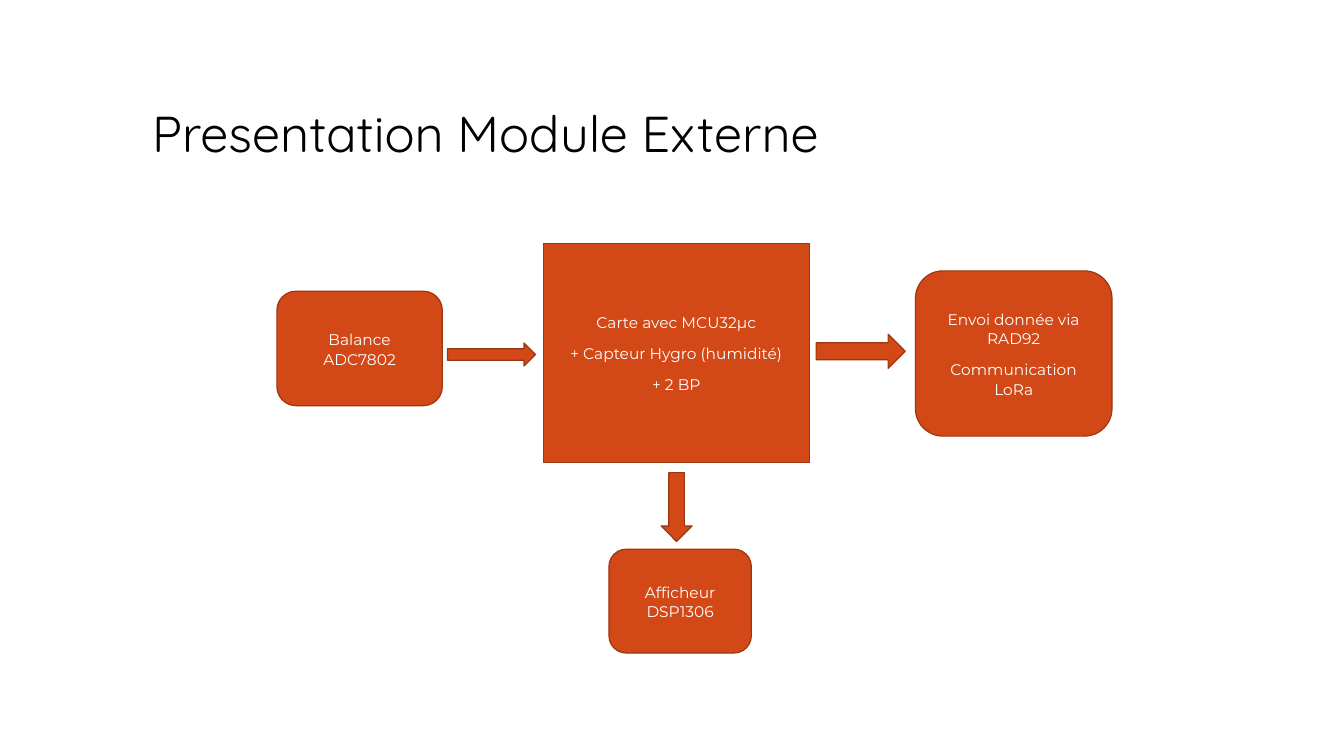
from dataclasses import dataclass

from pptx import Presentation
from pptx.dml.color import RGBColor
from pptx.enum.shapes import MSO_SHAPE
from pptx.enum.text import MSO_ANCHOR, PP_ALIGN
from pptx.util import Pt

RECTANGLE = MSO_SHAPE.RECTANGLE
ROUNDED = MSO_SHAPE.ROUNDED_RECTANGLE
RIGHT_ARROW = MSO_SHAPE.RIGHT_ARROW
DOWN_ARROW = MSO_SHAPE.DOWN_ARROW
CENTER, LEFT = PP_ALIGN.CENTER, PP_ALIGN.LEFT
MIDDLE, BOTTOM = MSO_ANCHOR.MIDDLE, MSO_ANCHOR.BOTTOM
TITLE_ONLY = 5


@dataclass(frozen=True)
class Theme:
    ink: RGBColor = RGBColor(0, 0, 0)
    fill: RGBColor = RGBColor(0xD3, 0x48, 0x17)
    line: RGBColor = RGBColor(0x9C, 0x35, 0x11)
    label: RGBColor = RGBColor(0xFF, 0xFF, 0xFF)
    title_font: str = "Quicksand"
    label_font: str = "Montserrat"
    title_size: float = 36
    label_size: float = 11
    line_width: float = 0.85


class Diagram:
    def __init__(self, page, theme):
        self.page = page
        self.theme = theme

    def format_text(self, frame, font, size, color, align, spacing, after):
        for para in frame.paragraphs:
            para.alignment = align
            para.line_spacing = spacing
            para.space_after = Pt(after)
            for span in para.runs:
                span.font.name = font
                span.font.size = Pt(size)
                span.font.color.rgb = color

    def title(self, text, left, top, width, height):
        title = self.page.shapes.title
        title.left, title.top = Pt(left), Pt(top)
        title.width, title.height = Pt(width), Pt(height)
        frame = title.text_frame
        frame.text = text
        frame.vertical_anchor = BOTTOM
        theme = self.theme
        self.format_text(frame, theme.title_font, theme.title_size, theme.ink, LEFT, 0.9, 0)

    def shape(self, kind, left, top, width, height):
        shape = self.page.shapes.add_shape(kind, Pt(left), Pt(top), Pt(width), Pt(height))
        shape.shadow.inherit = False
        shape.fill.solid()
        shape.fill.fore_color.rgb = self.theme.fill
        shape.line.color.rgb = self.theme.line
        shape.line.width = Pt(self.theme.line_width)
        return shape

    def box(self, kind, text, left, top, width, height):
        frame = self.shape(kind, left, top, width, height).text_frame
        frame.text = text
        frame.word_wrap = True
        frame.vertical_anchor = MIDDLE
        theme = self.theme
        self.format_text(frame, theme.label_font, theme.label_size, theme.label, CENTER, 1.07, 8)


deck = Presentation()
deck.slide_width, deck.slide_height = Pt(960), Pt(540)
page = deck.slides.add_slide(deck.slide_layouts[TITLE_ONLY])
diagram = Diagram(page, Theme())

diagram.title("Presentation Module Externe", 101.5, 30.2, 756, 90)

boxes = [
    (RECTANGLE, "Carte avec MCU32µc\n+ Capteur Hygro (humidité)\n+ 2 BP", 388.1, 174.2, 190.1, 156.2),
    (ROUNDED, "Afficheur DSP1306", 435, 392.3, 101.7, 74.2),
    (ROUNDED, "Balance ADC7802", 197.8, 208, 118.2, 81.8),
    (ROUNDED, "Envoi donnée via RAD92\nCommunication LoRa", 653.9, 193.5, 140.4, 118),
]
for kind, text, *place in boxes:
    diagram.box(kind, text, *place)

arrows = [
    (RIGHT_ARROW, 319.7, 245, 62.8, 16.4),
    (DOWN_ARROW, 472.2, 337.6, 22.2, 49.2),
    (RIGHT_ARROW, 583, 238.7, 63.6, 24.4),
]
for kind, *place in arrows:
    diagram.shape(kind, *place)

deck.save("out.pptx")
